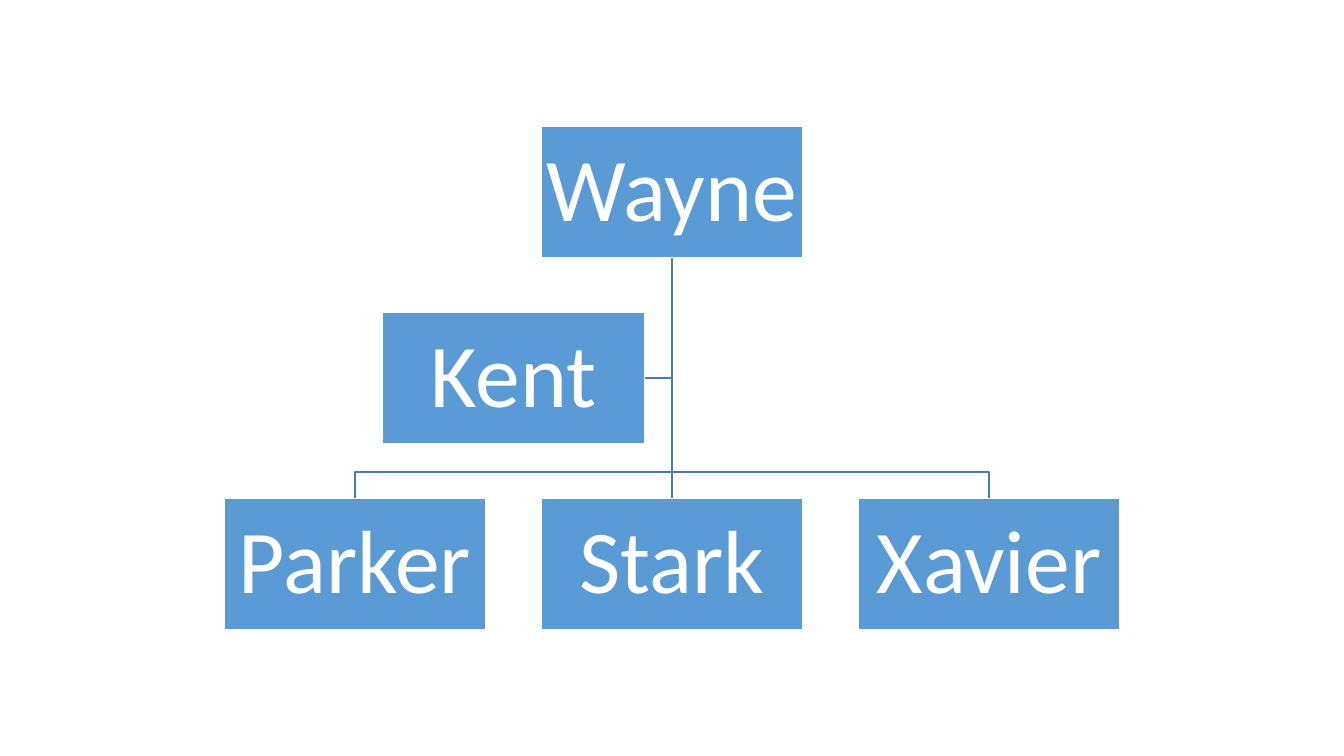
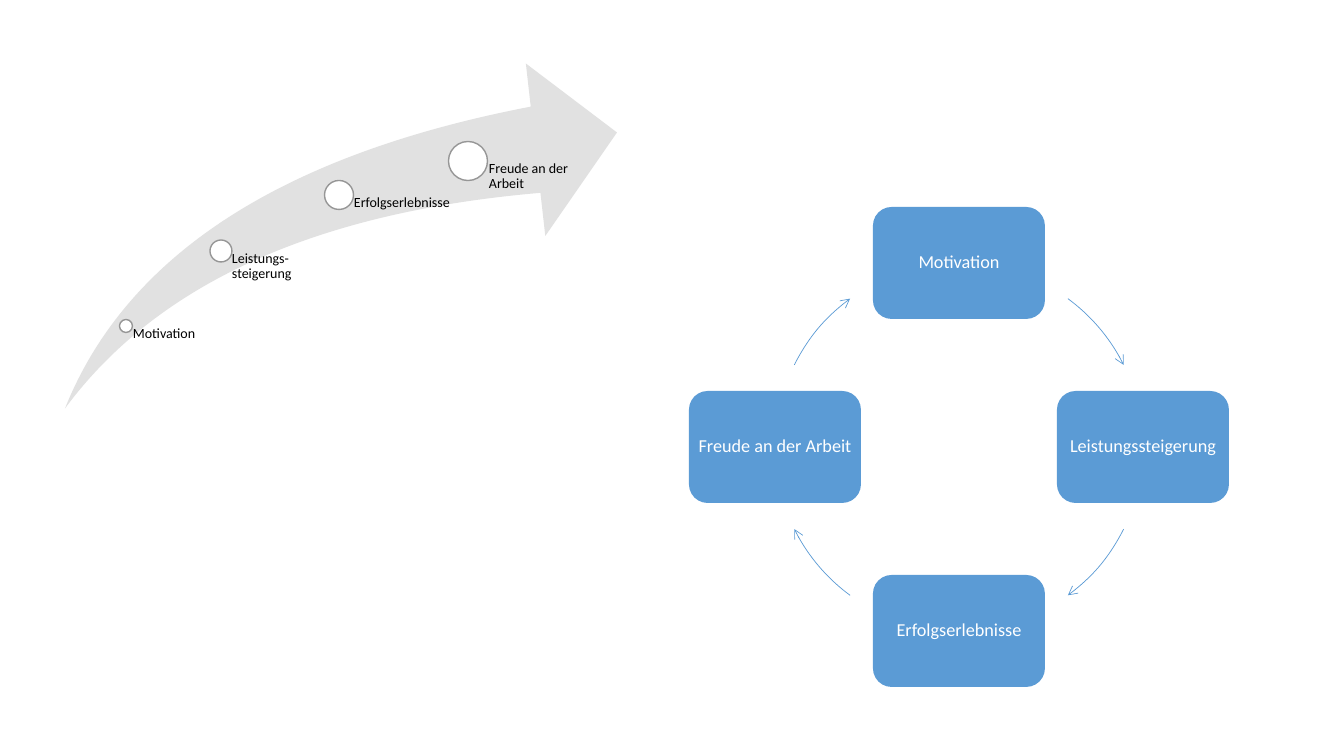
from lxml import etree
from pptx import Presentation, util as u
from pptx.dml.color import RGBColor
from pptx.enum import shapes, text
from pptx.oxml.ns import qn

SCALE = 12192000 / 1344
FONT = "Calibri"
BLUE, WHITE, BLACK = "5B9BD5", "FFFFFF", "000000"
LINK_BLUE, SWOOSH_GREY, DOT_GREY = "497CAB", "E1E1E1", "969696"


def px(length):
    return u.Emu(round(length * SCALE))


def rgb(color):
    return RGBColor.from_string(color)


def style(shape, fill=None, line=None, weight=1):
    shape.shadow.inherit = False
    if fill:
        shape.fill.solid()
        shape.fill.fore_color.rgb = rgb(fill)
    else:
        shape.fill.background()
    if line:
        shape.line.color.rgb = rgb(line)
        shape.line.width = u.Pt(weight)
    else:
        shape.line.fill.background()


def add_centred(slide, kind, center_x, center_y, width, height, **look):
    shape = slide.shapes.add_shape(
        kind, px(center_x - width / 2), px(center_y - height / 2), px(width), px(height))
    style(shape, **look)
    return shape


def write(shape, words, size, color, margins, align, anchor):
    frame = shape.text_frame
    frame.word_wrap = True
    frame.vertical_anchor = anchor
    frame.margin_left, frame.margin_top, frame.margin_right, frame.margin_bottom = map(px, margins)
    paragraph = frame.paragraphs[0]
    paragraph.text = words
    paragraph.alignment = align
    paragraph.line_spacing = 0.9
    paragraph.font.name = FONT
    paragraph.font.size = u.Pt(size)
    paragraph.font.color.rgb = rgb(color)


def add_box(slide, kind, words, center, extent, size, line=None):
    box = add_centred(slide, kind, *center, *extent, fill=BLUE, line=line)
    write(box, words, size, WHITE, [4] * 4,
          text.PP_ALIGN.CENTER, text.MSO_ANCHOR.MIDDLE)


def add_line(slide, start, end):
    line = slide.shapes.add_connector(
        shapes.MSO_CONNECTOR.STRAIGHT, *map(px, start + end))
    line.line.color.rgb = rgb(LINK_BLUE)
    line.line.width = u.Pt(1)
    etree.SubElement(line._element.spPr, qn("a:effectLst"))


def add_polyline(slide, points):
    builder = slide.shapes.build_freeform(*points[0], scale=SCALE)
    builder.add_line_segments(points[1:], close=False)
    style(builder.convert_to_shape(), line=LINK_BLUE)


def add_arc_arrow(slide, center, radius, start, end):
    arc = add_centred(slide, shapes.MSO_SHAPE.ARC, *center, 2 * radius, 2 * radius,
                      line=BLUE, weight=0.5)
    for index, degrees in enumerate((start, end)):
        arc.adjustments[index] = degrees * 0.6
    etree.SubElement(arc.line._get_or_add_ln(), qn("a:tailEnd"), type="arrow")


def add_milestone(slide, words, center, diameter, indent):
    x, y = center
    add_centred(slide, shapes.MSO_SHAPE.OVAL, x, y, diameter, diameter,
                fill=WHITE, line=DOT_GREY)
    label = slide.shapes.add_textbox(px(x), px(y), px(116), px(408 - y))
    write(label, words, 10, BLACK, (indent, 0, 0, 0),
          text.PP_ALIGN.LEFT, text.MSO_ANCHOR.TOP)


def add_org_chart(slide):
    width, height = 262, 131
    middle, column_step = 672, 317
    top, assistant_y, bottom = (192 + 186 * row for row in range(3))
    assistant_x = middle - column_step / 2
    left, right = middle - column_step, middle + column_step
    boss_bottom, team_top = top + height / 2, bottom - height / 2
    bus = team_top - 27

    add_polyline(slide, [(middle, boss_bottom), (middle, assistant_y),
                         (assistant_x + width / 2, assistant_y)])
    add_line(slide, (middle, boss_bottom), (middle, team_top))
    for side in (right, left):
        add_polyline(slide, [(middle, boss_bottom), (middle, bus), (side, bus), (side, team_top)])
    people = [
        ("Wayne", middle, top),
        ("Parker", left, bottom),
        ("Stark", middle, bottom),
        ("Xavier", right, bottom),
        ("Kent", assistant_x, assistant_y),
    ]
    for name, x, y in people:
        add_box(slide, shapes.MSO_SHAPE.RECTANGLE, name, (x, y), (width, height),
                64, line=WHITE)


def add_rising_arrow(slide):
    swoosh = add_centred(slide, shapes.MSO_SHAPE.SWOOSH_ARROW, 341, 236, 552, 345,
                         fill=SWOOSH_GREY)
    swoosh.adjustments[0] = swoosh.adjustments[1] = 0.25
    milestones = [
        ("Motivation", (126, 326), 13, 7),
        ("Leistungs-steigerung", (221, 251), 22, 11),
        ("Erfolgserlebnisse", (339, 195), 29, 15),
        ("Freude an der Arbeit", (468, 161), 39, 21),
    ]
    for milestone in milestones:
        add_milestone(slide, *milestone)


def add_cycle(slide):
    x, y, radius = 959, 447, 184
    steps = [
        ("Motivation", 0, -1, 306.3),
        ("Leistungssteigerung", 1, 0, 26.5),
        ("Erfolgserlebnisse", 0, 1, 126.3),
        ("Freude an der Arbeit", -1, 0, 206.5),
    ]
    for words, across, down, arc_start in steps:
        center = (x + across * radius, y + down * radius)
        add_box(slide, shapes.MSO_SHAPE.ROUNDED_RECTANGLE, words, center, (172, 112), 13)
        add_arc_arrow(slide, (x, y), radius, arc_start, arc_start + 27.2)


def main():
    presentation = Presentation()
    presentation.slide_width = px(1344)
    presentation.slide_height = px(756)
    blank = presentation.slide_layouts[6]
    add_org_chart(presentation.slides.add_slide(blank))
    motivation_slide = presentation.slides.add_slide(blank)
    add_rising_arrow(motivation_slide)
    add_cycle(motivation_slide)
    presentation.save("out.pptx")


if __name__ == "__main__":
    main()
